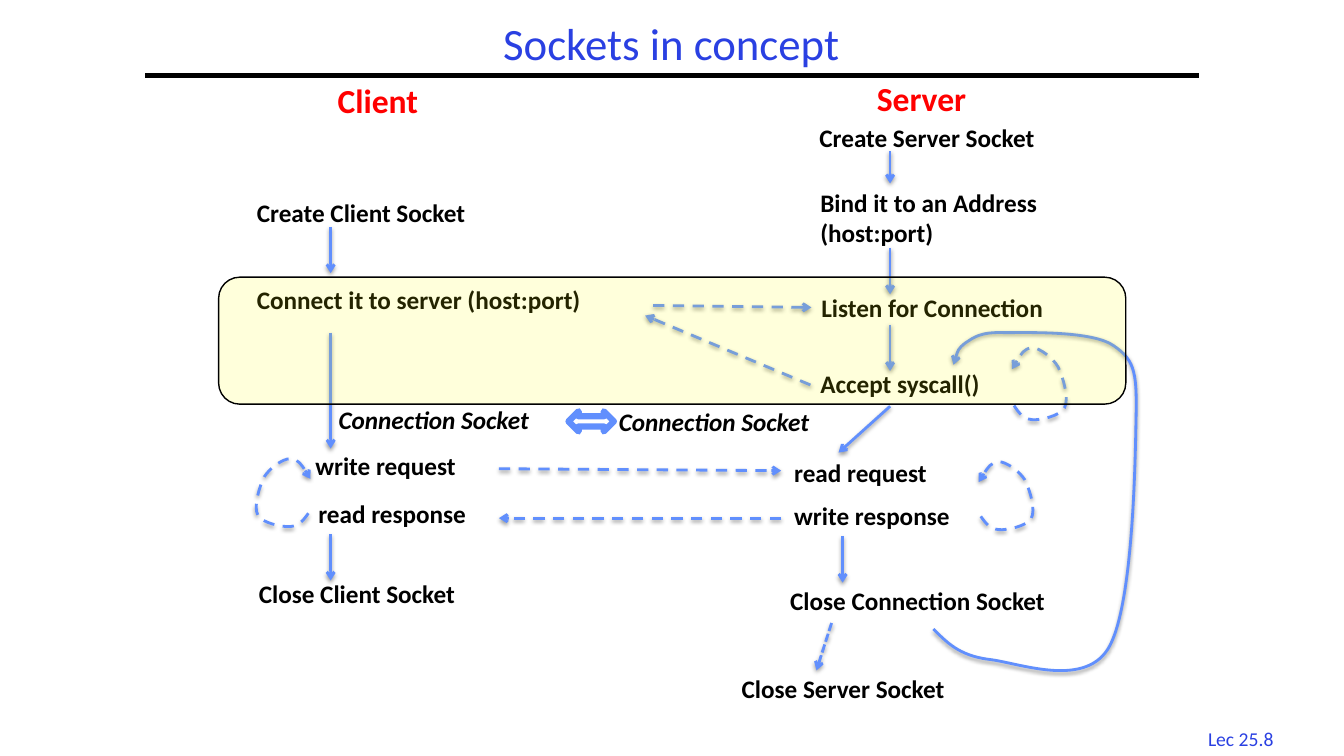
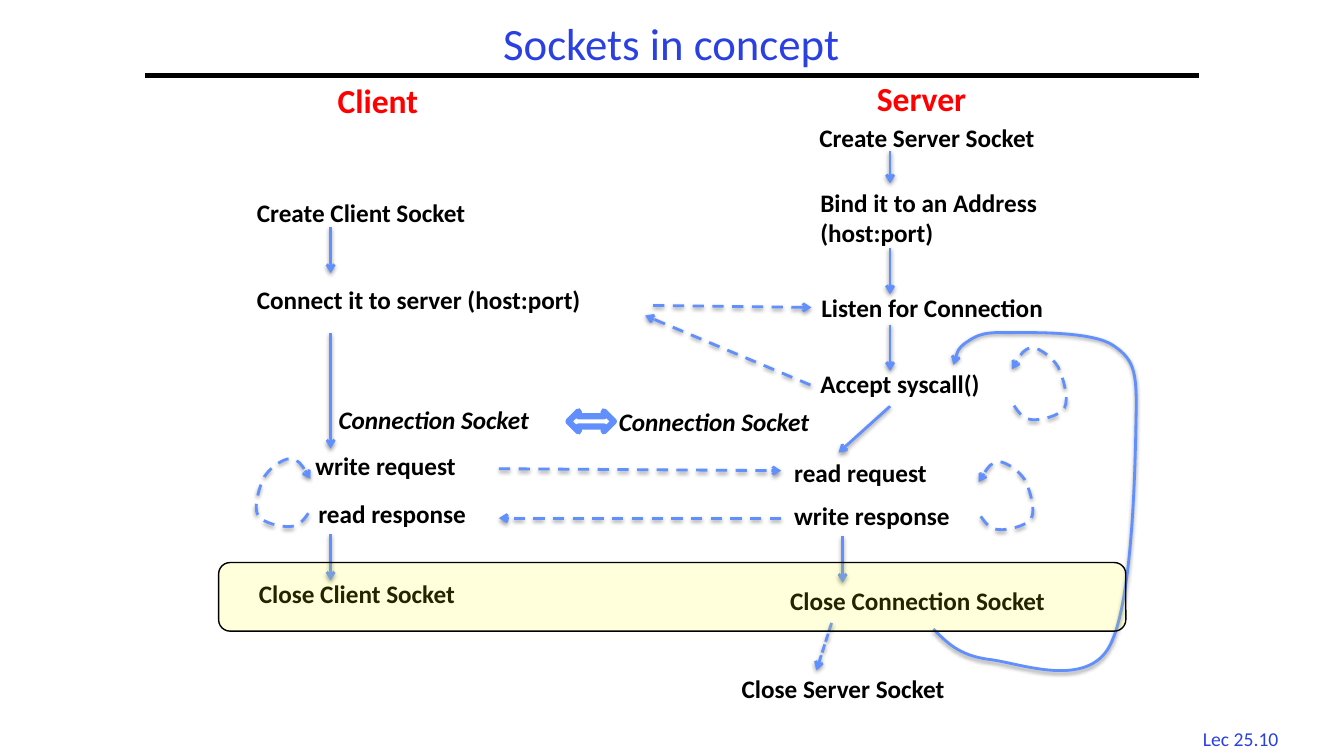
"""Build two slides that walk through the life of a client and a server socket."""
import pptx
import pptx.dml.color
import pptx.enum.dml
import pptx.enum.shapes
import pptx.enum.text
import pptx.oxml
import pptx.oxml.ns
import pptx.util

Pt = pptx.util.Pt
SHAPE = pptx.enum.shapes.MSO_SHAPE
DASH = pptx.enum.dml.MSO_LINE.DASH
SHORT_DASH = pptx.enum.dml.MSO_LINE.SQUARE_DOT
ALIGN = pptx.enum.text.PP_ALIGN

COLORS = {"title": "2A40E2", "heading": "FF0000", "text": "000000",
          "arrow": "618FFD", "highlight": "FFFF00", "paper": "FFFFFF"}
FONT = "Calibri"
TITLE = "Sockets in concept"

SLIDES = [
    {"footer": "Lec 25.8", "highlight": (156.2, 198, 648, 90.7)},
    {"footer": "Lec 25.10", "highlight": (156.2, 401.8, 648, 49)},
]

HEADINGS = [("Client", 234, 53.3, 82), ("Server", 619.2, 51.8, 93.6)]

STEPS = [
    ("Create Client Socket", 176.4, 137.5, 191.5),
    ("Connect it to server (host:port)", 176.4, 199.4, 282.2),
    ("write request", 218.2, 318.2, 127.4),
    ("read response", 220.3, 352.1, 137.5),
    ("Close Client Socket", 177.8, 409.7, 185),
    ("Create Server Socket", 578.2, 84.2, 197.3),
    ("Bind it to an Address\n(host:port)", 578.9, 130.3, 201.6),
    ("Listen for Connection", 579.6, 205.2, 201.6),
    ("Accept syscall()", 578.9, 259.9, 153.4),
    ("read request", 560.2, 323.3, 127.4),
    ("write response", 560.2, 354.2, 143.3),
    ("Close Connection Socket", 557.3, 414.7, 234),
    ("Close Server Socket", 522.7, 477.4, 194.4),
]
CONNECTIONS = [("Connection Socket", 234.7, 285.1, 179.3),
               ("Connection Socket", 434.9, 286.6, 179.3)]

DOWN_ARROWS = {
    236.2: [(162, 195.1), (237.6, 320.4), (381.6, 414.7)],
    635.8: [(108, 131), (177.1, 210.2), (231.8, 265)],
    601.9: [(383, 416.2)],
}
SLANTED_ARROWS = [
    ((635.8, 290.2), (599, 323.3), None),
    ((594, 445), (583.2, 478.8), SHORT_DASH),
    ((356.4, 334.8), (558, 336.2), DASH),
    ((558, 370.1), (356.4, 370.1), DASH),
    ((466.6, 218.2), (579.6, 219.6), DASH),
    ((578.9, 275), (460.8, 225.4), DASH),
]

LOOP = [(1.5, 39), (5, 44), (8, 48), (14.5, 48.5), (20, 49), (34.5, 46),
        (37.5, 40.5), (41, 34.5), (36.5, 20), (33, 13), (29, 6.5),
        (19.5, 0), (14.5, 0), (8.5, 0.5), (4.5, 7), (0, 14.5)]
LOOP_PLACES = [(699.1, 329.8, 1, 1), (221.8, 327.6, -1, 1), (722.9, 248.4, 1, 1.06)]
NEXT_CLIENT = [
    (666.7, 449.3), (676.1, 458.6), (684.7, 468), (705.6, 470.9),
    (726.5, 473), (773.3, 491.8), (791.3, 463.7),
    (808.6, 436.3), (810.7, 339.1), (811.4, 303.1),
    (812.2, 267.1), (811.4, 257.8), (795.6, 247),
    (780.5, 236.2), (735.1, 237.6), (717.8, 237.6),
    (699.8, 236.9), (695.5, 241.2), (689.8, 244.8),
    (684, 249.1), (682.6, 254.9), (681.1, 260.6),
]

NAMESPACE = pptx.oxml.ns.nsdecls("a")
SHADOW = (f'<a:effectLst {NAMESPACE}><a:outerShdw blurRad="{Pt(3.1)}" '
          f'dist="{Pt(1.6)}" dir="5400000" rotWithShape="0"><a:srgbClr val="000000">'
          '<a:alpha val="38000"/></a:srgbClr></a:outerShdw></a:effectLst>')


def rgb(name):
    """Return a named colour."""
    return pptx.dml.color.RGBColor.from_string(COLORS[name])


def points(*lengths):
    """Convert numbers to point lengths."""
    return [Pt(length) for length in lengths]


def write(frame, text, size=18, color="text", bold=True, italic=False,
          align=ALIGN.LEFT, spacing=None):
    """Fill a text frame, one paragraph for each line of text."""
    frame.word_wrap = True
    frame.text = text
    for para in frame.paragraphs:
        para.alignment = align
        para.line_spacing = spacing
        for span in para.runs:
            span.font.name, span.font.size = FONT, Pt(size)
            span.font.bold, span.font.italic = bold, italic
            span.font.color.rgb = rgb(color)


def add_label(page, text, left, top, width, size=18, **style):
    """Add a text box that is as tall as its lines."""
    height = 7.2 + 1.2 * size * len(text.split("\n"))
    box = page.shapes.add_textbox(*points(left, top, width, height))
    write(box.text_frame, text, size=size, **style)


def add_line(page, start, end):
    """Add a straight connector."""
    return page.shapes.add_connector(
        pptx.enum.shapes.MSO_CONNECTOR.STRAIGHT, *points(*start, *end))


def style_arrow(shape, dash=None):
    """Give a line or curve the shared stroke, arrowhead and shadow."""
    shape.line.color.rgb, shape.line.width = rgb("arrow"), Pt(2)
    if dash:
        shape.line.dash_style = dash
    properties = shape.element.spPr
    properties.find(pptx.oxml.ns.qn("a:ln")).append(
        pptx.oxml.parse_xml(f'<a:tailEnd {NAMESPACE} type="arrow"/>'))
    properties.append(pptx.oxml.parse_xml(SHADOW))


def add_curve(page, nodes, dash=None):
    """Add an arrow along cubic curves: a start, then three nodes a curve."""
    start, *rest = [tuple(points(*node)) for node in nodes]
    builder = page.shapes.build_freeform(*start)
    builder.add_line_segments(rest, close=False)
    curve = builder.convert_to_shape()
    outline = next(curve.element.iter(pptx.oxml.ns.qn("a:path")))
    segments = outline.findall(pptx.oxml.ns.qn("a:lnTo"))
    for first in range(0, len(segments), 3):
        bezier = pptx.oxml.parse_xml(f"<a:cubicBezTo {NAMESPACE}/>")
        for segment in segments[first:first + 3]:
            bezier.append(segment[0])
            outline.remove(segment)
        outline.append(bezier)
    curve.fill.background()
    style_arrow(curve, dash)


def add_preset(page, kind, place, fill, line, weight):
    """Add a filled preset shape without shadow."""
    shape = page.shapes.add_shape(kind, *points(*place))
    shape.shadow.inherit = False
    shape.fill.solid()
    shape.fill.fore_color.rgb = rgb(fill)
    shape.line.color.rgb, shape.line.width = rgb(line), Pt(weight)
    return shape


def add_frame(page, footer):
    """Add the title, the rule below it and the lecture number."""
    title = page.shapes.title
    title.left, title.top, title.width, title.height = points(103.7, 12.2, 751.7, 41.8)
    title.text_frame.vertical_anchor = pptx.enum.text.MSO_ANCHOR.MIDDLE
    write(title.text_frame, TITLE, size=32, color="title", bold=False,
          align=ALIGN.CENTER, spacing=0.9)
    rule = add_line(page, (103.7, 54), (856.1, 54))
    rule.line.color.rgb, rule.line.width = rgb("text"), Pt(3)
    rule.element.spPr.append(pptx.oxml.parse_xml(f"<a:effectLst {NAMESPACE}/>"))
    add_label(page, footer, 847.4, 515.5, 77.8, size=14, color="title", bold=False,
              align=ALIGN.CENTER)


def add_diagram(page):
    """Add the steps of both sides and the arrows between them."""
    for heading in HEADINGS:
        add_label(page, *heading, size=24, color="heading")
    for step in STEPS:
        add_label(page, *step)
    for connection in CONNECTIONS:
        add_label(page, *connection, italic=True)
    downward = [((x, top), (x, bottom), None)
                for x, spans in DOWN_ARROWS.items() for top, bottom in spans]
    for start, end, dash in downward + SLANTED_ARROWS:
        style_arrow(add_line(page, start, end), dash)
    for left, top, across, down in LOOP_PLACES:
        add_curve(page, [(left + across * x, top + down * y) for x, y in LOOP], DASH)
    add_curve(page, NEXT_CLIENT)
    add_preset(page, SHAPE.LEFT_RIGHT_ARROW, (406.1, 293.8, 32.4, 14.4),
               "paper", "arrow", 4.5)


def add_highlight(page, place):
    """Add the translucent band over the current stage."""
    band = add_preset(page, SHAPE.ROUNDED_RECTANGLE, place, "highlight", "text", 1)
    color = band.element.spPr.find(pptx.oxml.ns.qn("a:solidFill"))[0]
    color.append(pptx.oxml.parse_xml(f'<a:alpha {NAMESPACE} val="14000"/>'))


def main():
    """Build and save the deck."""
    deck = pptx.Presentation()
    deck.slide_width, deck.slide_height = points(960, 540)
    for content in SLIDES:
        page = deck.slides.add_slide(deck.slide_layouts.get_by_name("Title Only"))
        add_frame(page, content["footer"])
        add_diagram(page)
        add_highlight(page, content["highlight"])
    deck.save("out.pptx")


if __name__ == "__main__":
    main()
